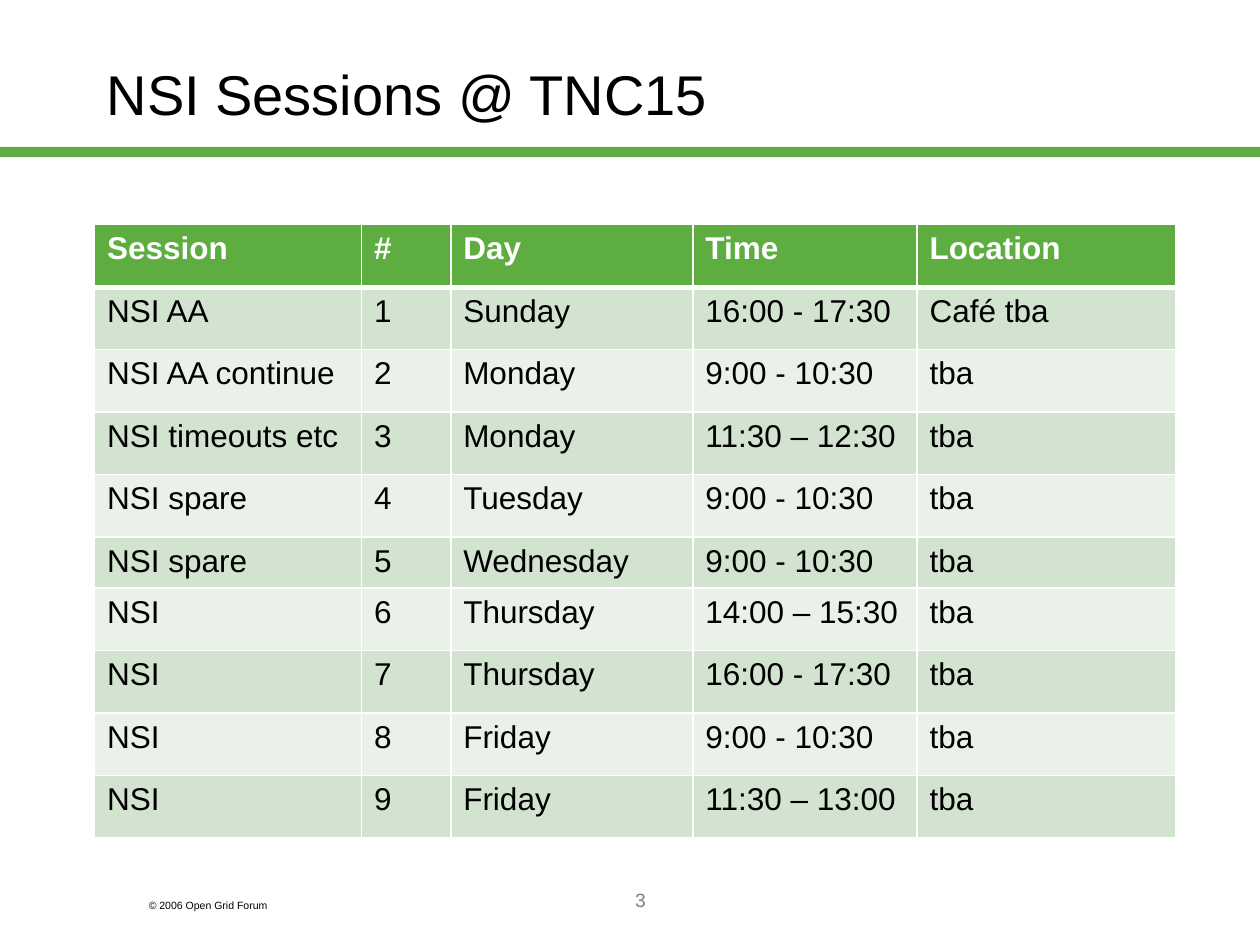
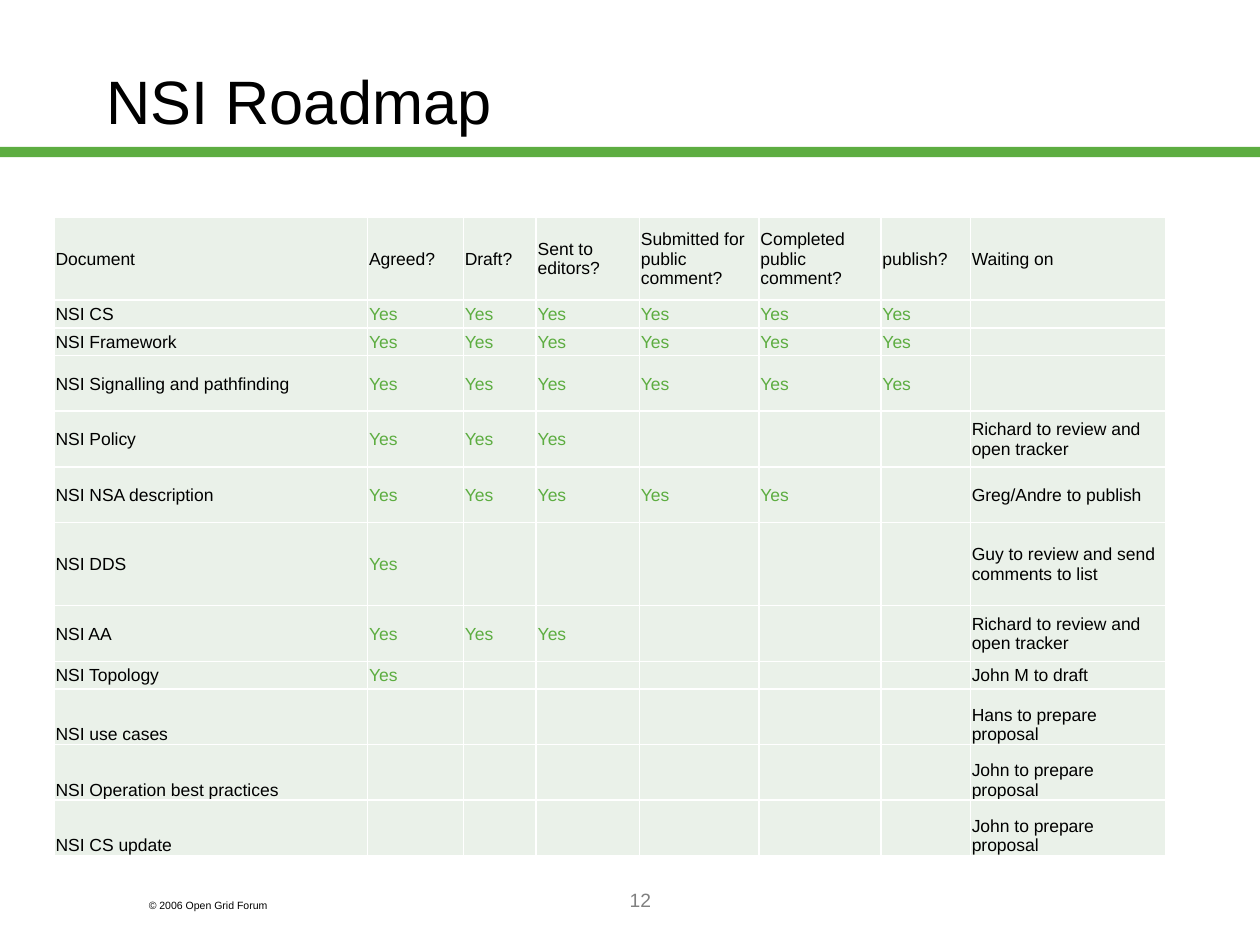
"""Build the session timetable and the document roadmap slides."""
import pptx
import pptx.dml.color
import pptx.enum.shapes
import pptx.enum.text
import pptx.oxml
import pptx.oxml.ns
import pptx.util
from lxml import etree

Cm, Pt = pptx.util.Cm, pptx.util.Pt
ALIGN, ANCHOR = pptx.enum.text.PP_ALIGN, pptx.enum.text.MSO_ANCHOR
FONT = "Arial"
COLORS = {"green": "5DAD41", "mid": "D2E3CF", "pale": "EAF1E9",
          "white": "FFFFFF", "black": "000000", "gray": "808080"}

TIMES = [
    ("Session", "#", "Day", "Time", "Location"),
    ("NSI AA", "1", "Sunday", "16:00 - 17:30", "Café tba"),
    ("NSI AA continue", "2", "Monday", "9:00 - 10:30", "tba"),
    ("NSI timeouts etc", "3", "Monday", "11:30 – 12:30", "tba"),
    ("NSI spare", "4", "Tuesday", "9:00 - 10:30", "tba"),
    ("NSI spare", "5", "Wednesday", "9:00 - 10:30", "tba"),
    ("NSI", "6", "Thursday", "14:00 – 15:30", "tba"),
    ("NSI", "7", "Thursday", "16:00 - 17:30", "tba"),
    ("NSI", "8", "Friday", "9:00 - 10:30", "tba"),
    ("NSI", "9", "Friday", "11:30 – 13:00", "tba"),
]
TIME_COLS = [5.38, 1.8, 4.88, 4.52, 5.21]
TIME_ROWS = [1.26] * 5 + [1.01] + [1.26] * 4

STEPS = ("Document", "Agreed?", "Draft?", "Sent to editors?",
         "Submitted for public comment?", "Completed public comment?",
         "publish?", "Waiting on")
# each entry: document, steps done, waiting on, height in lines
DOCS = [
    ("NSI CS", 6, "", 1),
    ("NSI Framework", 6, "", 1),
    ("NSI Signalling and pathfinding", 6, "", 2),
    ("NSI Policy", 3, "Richard to review and open tracker", 2),
    ("NSI NSA description", 5, "Greg/Andre to publish", 2),
    ("NSI DDS", 1, "Guy to review and send comments to list", 3),
    ("NSI AA", 3, "Richard to review and open tracker", 2),
    ("NSI Topology", 1, "John M to draft", 1),
    ("NSI use cases", 0, "Hans to prepare proposal", 2),
    ("NSI Operation best practices", 0, "John to prepare proposal", 2),
    ("NSI CS update", 0, "John to prepare proposal", 2),
]
DOC_COLS = [6.32, 1.93, 1.47, 2.08, 2.41, 2.46, 1.8, 3.94]
DOC_ROWS = [3 * 0.56] + [0.56 * doc[3] for doc in DOCS]


def paint(fill, name):
    fill.solid()
    fill.fore_color.rgb = pptx.dml.color.RGBColor.from_string(COLORS[name])


def write(frame, text, size=18, color="black", bold=False, align=ALIGN.LEFT, lines=None):
    frame.word_wrap = True
    par = frame.paragraphs[0]
    par.alignment = align
    if lines:
        par.line_spacing = lines
    if not text:
        etree.SubElement(par._p, pptx.oxml.ns.qn("a:endParaRPr"), sz=str(size * 100))
        return
    run = par.add_run()
    run.text = text
    font = run.font
    font.name, font.size, font.bold = FONT, Pt(size), bold
    paint(font.fill, color)


def label(slide, text, place, anchor=ANCHOR.TOP, **style):
    frame = slide.shapes.add_textbox(*map(Cm, place)).text_frame
    write(frame, text, **style)
    frame.vertical_anchor = anchor


def edge(cell, widths):
    props = cell._tc.get_or_add_tcPr()
    for side, width in zip("LRTB", widths):
        props.append(pptx.oxml.parse_xml(
            f'<a:ln{side} {pptx.oxml.ns.nsdecls("a")} w="{Pt(width)}"><a:solidFill>'
            f'<a:srgbClr val="{COLORS["white"]}"/></a:solidFill></a:ln{side}>'))


def grid(slide, rows, left, top, cols, highs, look):
    place = map(Cm, (left, top, sum(cols), sum(highs)))
    table = slide.shapes.add_table(len(rows), len(cols), *place).table
    table.first_row = table.horz_banding = False
    for col, width in zip(table.columns, cols):
        col.width = Cm(width)
    for r, (row, high) in enumerate(zip(rows, highs)):
        table.rows[r].height = Cm(high)
        for c, text in enumerate(row):
            cell = table.cell(r, c)
            fill, widths, insets, anchor, style = look(r, text)
            edge(cell, widths)
            paint(cell.fill, fill)
            (cell.margin_left, cell.margin_top,
             cell.margin_right, cell.margin_bottom) = map(Cm, insets)
            cell.vertical_anchor = anchor
            write(cell.text_frame, text, **style)


def time_look(r, text):
    insets = (0.25, 0.13, 0.25, 0.13)
    if r == 0:
        return "green", (1, 1, 1, 3), insets, ANCHOR.TOP, {"color": "white", "bold": True}
    widths = (1, 1, 3 if r == 1 else 1, 1)
    return "mid" if r % 2 else "pale", widths, insets, ANCHOR.TOP, {}


def doc_look(r, text):
    anchor = ANCHOR.BOTTOM if r > len(DOCS) - 3 else ANCHOR.MIDDLE
    style = {"size": 10, "color": "green" if text == "Yes" else "black"}
    return "pale", (1, 1, 1, 1), (0.03, 0.03, 0.03, 0), anchor, style


def page(deck, title, number, **style):
    slide = deck.slides.add_slide(deck.slide_layouts[6])
    bar = slide.shapes.add_shape(pptx.enum.shapes.MSO_SHAPE.RECTANGLE,
                                 0, Cm(2.96), deck.slide_width, Cm(0.21))
    bar.shadow.inherit = False
    bar.line.fill.background()
    paint(bar.fill, "green")
    label(slide, "© 2006 Open Grid Forum", (2.75, 17.99, 3.81, 0.5), size=6)
    label(slide, number, (5.5, 17.78, 14.82, 1.27), size=11, color="gray", align=ALIGN.CENTER)
    label(slide, title, (1.9, 0.42, 21.59, 3.18), ANCHOR.MIDDLE, **style)
    return slide


def main():
    deck = pptx.Presentation()
    deck.slide_width, deck.slide_height = Cm(25.4), Cm(19.05)
    slide = page(deck, "NSI Sessions @ TNC15", "3", size=32, lines=0.8)
    grid(slide, TIMES, 1.91, 4.53, TIME_COLS, TIME_ROWS, time_look)
    slide = page(deck, "NSI Roadmap", "12", size=35)
    rows = [STEPS] + [(name, *["Yes"] * done, *[""] * (6 - done), wait)
                      for name, done, wait, _ in DOCS]
    grid(slide, rows, 1.09, 4.37, DOC_COLS, DOC_ROWS, doc_look)
    deck.save("out.pptx")


if __name__ == "__main__":
    main()
